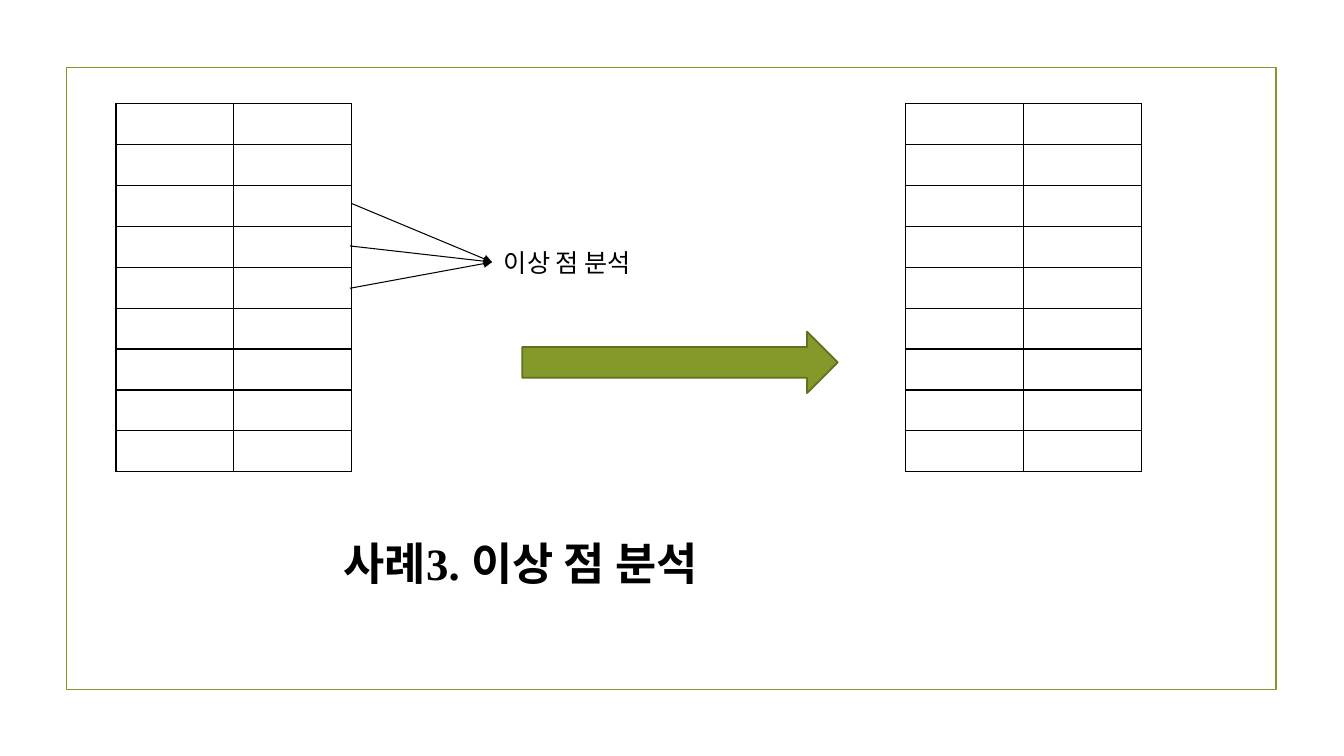
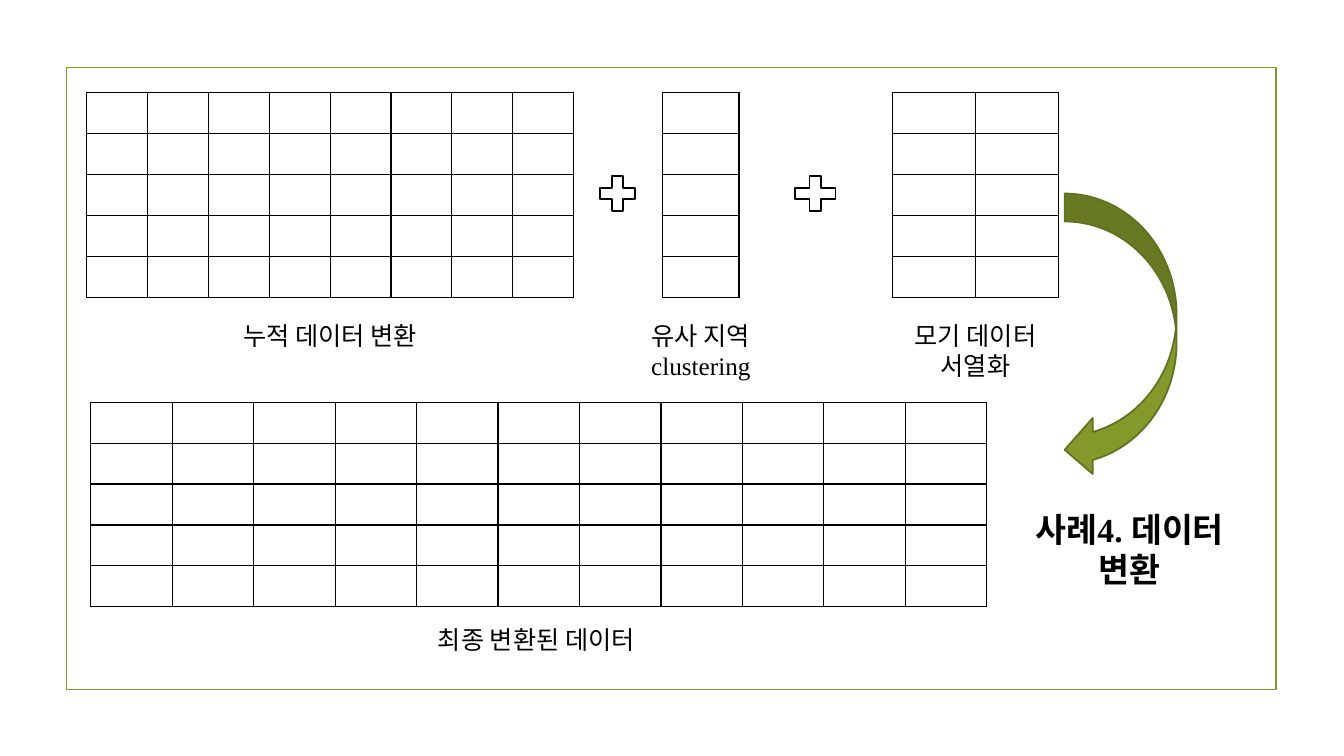
"""Build two slides on outlier analysis and data transformation."""
from dataclasses import dataclass

from lxml.etree import SubElement
from pptx import Presentation
from pptx.dml.color import RGBColor as Rgb
from pptx.enum.shapes import MSO_CONNECTOR as Connector, MSO_SHAPE as Shape
from pptx.enum.text import MSO_AUTO_SIZE as AutoSize, PP_ALIGN as Align
from pptx.oxml import parse_xml
from pptx.oxml.ns import nsdecls, qn
from pptx.util import Pt

PX = 9144


@dataclass(frozen=True)
class Theme:
    ink: Rgb = Rgb(0x00, 0x00, 0x00)
    paper: Rgb = Rgb(0xFF, 0xFF, 0xFF)
    olive: Rgb = Rgb(0x83, 0x99, 0x2A)
    dark_olive: Rgb = Rgb(0x61, 0x71, 0x1F)
    font: str = "Times New Roman"
    label: int = 18
    heading: int = 24
    title: int = 32
    outline: float = 1.25
    grid_line: float = 1
    pointer: float = 0.75


theme = Theme()


def add_shape(page, kind, bounds, fill, line):
    shape = page.shapes.add_shape(kind, *(n * PX for n in bounds))
    shape.shadow.inherit = False
    if fill is None:
        shape.fill.background()
    else:
        shape.fill.solid()
        shape.fill.fore_color.rgb = fill
    shape.line.color.rgb = line
    shape.line.width = Pt(theme.outline)
    return shape


def add_grid(page, rows, columns, bounds):
    table = page.shapes.add_table(rows, columns, *(n * PX for n in bounds)).table
    table.first_row = False
    table.horz_banding = False
    for cell in table.iter_cells():
        cell.fill.solid()
        cell.fill.fore_color.rgb = theme.paper
        properties = cell._tc.get_or_add_tcPr()
        for index, side in enumerate("LRTB"):
            properties.insert(index, parse_xml(
                f'<a:ln{side} {nsdecls("a")} w="{Pt(theme.grid_line)}"><a:solidFill>'
                f'<a:srgbClr val="{theme.ink}"/></a:solidFill></a:ln{side}>'))


deck = Presentation()
deck.slide_width, deck.slide_height = 1333 * PX, 750 * PX
blank = deck.slide_layouts[6]
outlier_page = deck.slides.add_slide(blank)
transform_page = deck.slides.add_slide(blank)

frame = add_shape(outlier_page, Shape.RECTANGLE, (66, 67, 1200, 617), None, theme.olive)
blank.shapes.element.append(frame.element)

for left in (115, 898):
    add_grid(outlier_page, 9, 2, (left, 103, 234, 365))

for columns, bounds in (
    (8, (86, 92, 483, 203)),
    (1, (657, 92, 76, 203)),
    (2, (885, 92, 165, 203)),
    (11, (90, 399, 889, 203)),
):
    add_grid(transform_page, 5, columns, bounds)

for left, top in ((349, 202), (347, 244), (347, 286)):
    pointer = outlier_page.shapes.add_connector(
        Connector.STRAIGHT, left * PX, top * PX, 488 * PX, 260 * PX)
    pointer.line.color.rgb = theme.ink
    pointer.line.width = Pt(theme.pointer)
    properties = pointer.element.spPr
    SubElement(properties.find(qn("a:ln")), qn("a:tailEnd"), type="triangle")
    SubElement(properties, qn("a:effectLst"))

for page, kind, bounds in (
    (outlier_page, Shape.RIGHT_ARROW, (518, 329, 313, 61)),
    (transform_page, Shape.CURVED_LEFT_ARROW, (1056, 192, 111, 282)),
):
    add_shape(page, kind, bounds, theme.olive, theme.dark_olive)

for left, width in ((589, 47), (781, 55)):
    add_shape(transform_page, Shape.MATH_PLUS, (left, 168, width, 48), theme.paper, theme.ink)

for page, text, bounds, size, bold, align in (
    (outlier_page, "이상 점 분석", (490, 240, 173, 40), theme.label, False, Align.LEFT),
    (outlier_page, "사례3. 이상 점 분석", (276, 527, 481, 64), theme.title, True, Align.CENTER),
    (transform_page, "누적 데이터 변환", (86, 313, 483, 40), theme.label, False, Align.CENTER),
    (transform_page, "유사 지역 clustering", (636, 313, 145, 101), theme.label, False, Align.LEFT),
    (transform_page, "모기 데이터 서열화", (885, 313, 165, 71), theme.label, False, Align.CENTER),
    (transform_page, "최종 변환된 데이터", (139, 614, 786, 40), theme.label, False, Align.CENTER),
    (transform_page, "사례4. 데이터 변환", (997, 500, 247, 91), theme.heading, True, Align.CENTER),
):
    box = page.shapes.add_textbox(*(n * PX for n in bounds))
    box.text_frame.word_wrap = True
    box.text_frame.auto_size = AutoSize.SHAPE_TO_FIT_TEXT
    para = box.text_frame.paragraphs[0]
    para.alignment = align
    span = para.add_run()
    span.text = text
    span.font.name = theme.font
    span.font.size = Pt(size)
    span.font.bold = bold
    span.font.color.rgb = theme.ink

deck.save("out.pptx")
